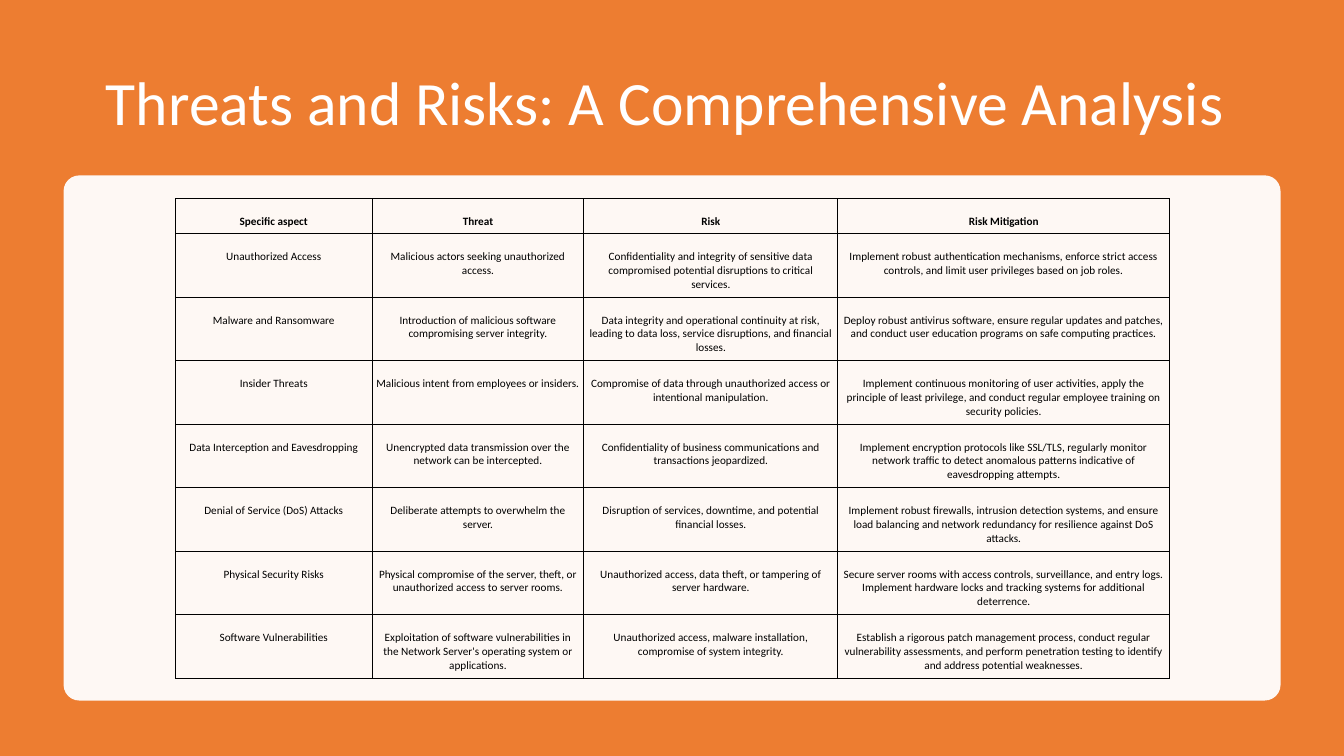
from pptx import Presentation
from pptx.dml.color import RGBColor
from pptx.enum.shapes import MSO_SHAPE
from pptx.enum.text import MSO_ANCHOR, PP_ALIGN
from pptx.oxml.ns import qn
from pptx.util import Inches, Pt
from lxml.etree import SubElement

FONT = "Calibri"
ORANGE, WHITE, BLACK = "ED7D31", "FFFFFF", "000000"
COLS = (195, 210, 252, 329)
ROWS = (35,) + (63,) * 7
RISKS = (
    ("Specific aspect", "Threat", "Risk", "Risk Mitigation"),
    ("Unauthorized Access",
     "Malicious actors seeking unauthorized access.",
     "Confidentiality and integrity of sensitive data compromised potential "
     "disruptions to critical services.",
     "Implement robust authentication mechanisms, enforce strict access controls, "
     "and limit user privileges based on job roles."),
    ("Malware and Ransomware",
     "Introduction of malicious software compromising server integrity.",
     "Data integrity and operational continuity at risk, leading to data loss, "
     "service disruptions, and financial losses.",
     "Deploy robust antivirus software, ensure regular updates and patches, and "
     "conduct user education programs on safe computing practices."),
    ("Insider Threats",
     "Malicious intent from employees or insiders.",
     "Compromise of data through unauthorized access or intentional manipulation.",
     "Implement continuous monitoring of user activities, apply the principle of "
     "least privilege, and conduct regular employee training on security policies."),
    ("Data Interception and Eavesdropping",
     "Unencrypted data transmission over the network can be intercepted.",
     "Confidentiality of business communications and transactions jeopardized.",
     "Implement encryption protocols like SSL/TLS, regularly monitor network traffic "
     "to detect anomalous patterns indicative of eavesdropping attempts."),
    ("Denial of Service (DoS) Attacks",
     "Deliberate attempts to overwhelm the server.",
     "Disruption of services, downtime, and potential financial losses.",
     "Implement robust firewalls, intrusion detection systems, and ensure load "
     "balancing and network redundancy for resilience against DoS attacks."),
    ("Physical Security Risks",
     "Physical compromise of the server, theft, or unauthorized access to server rooms.",
     "Unauthorized access, data theft, or tampering of server hardware.",
     "Secure server rooms with access controls, surveillance, and entry logs. "
     "Implement hardware locks and tracking systems for additional deterrence."),
    ("Software Vulnerabilities",
     "Exploitation of software vulnerabilities in the Network Server's operating "
     "system or applications.",
     "Unauthorized access, malware installation, compromise of system integrity.",
     "Establish a rigorous patch management process, conduct regular vulnerability "
     "assessments, and perform penetration testing to identify and address potential "
     "weaknesses."),
)


def paint(target, color):
    """Set a solid colour on a fill or the colour of a font."""
    if hasattr(target, "solid"):
        target.solid()
        target.fore_color.rgb = RGBColor.from_string(color)
    else:
        target.color.rgb = RGBColor.from_string(color)


def part(box, left, top, wide, high):
    """Return the part of a box given by percentages of its size."""
    x, y, w, h = box
    return (int(x + w * left / 100), int(y + h * top / 100),
            int(w * wide / 100), int(h * high / 100))


def write(para, text, size, color, bold=False):
    """Add one centred run to a paragraph."""
    para.alignment = PP_ALIGN.CENTER
    run = para.add_run()
    run.text = text
    run.font.name, run.font.size, run.font.bold = FONT, Pt(size), bold
    paint(run.font, color)


def block(slide, kind, box, color):
    """Draw a plain filled shape without line or shadow."""
    shape = slide.shapes.add_shape(kind, *box)
    shape.shadow.inherit = False
    shape.line.fill.background()
    paint(shape.fill, color)
    return shape


def head(slide, box):
    """Fill the title placeholder and bring it to the front."""
    title = slide.shapes.title
    title.left, title.top, title.width, title.height = box
    slide.shapes._spTree.append(title._element)
    frame = title.text_frame
    frame.word_wrap = True
    frame.vertical_anchor = MSO_ANCHOR.MIDDLE
    frame.margin_left, frame.margin_right = Inches(0.1), Inches(0.24)
    para = frame.paragraphs[0]
    para.line_spacing = 0.9
    write(para, "Threats and Risks: A Comprehensive Analysis", 44, WHITE)


def frame(cell):
    """Give a cell thin black borders and no fill."""
    props = cell._tc.get_or_add_tcPr()
    for side in ("lnL", "lnR", "lnT", "lnB"):
        line = SubElement(props, qn("a:" + side), w=str(Pt(0.75)))
        fill = SubElement(line, qn("a:solidFill"))
        SubElement(fill, qn("a:srgbClr"), val=BLACK)
    cell.fill.background()


def grid(slide, box):
    """Place the risk table in its box."""
    table = slide.shapes.add_table(len(ROWS), len(COLS), *box).table
    table.first_row = table.horz_banding = False
    for col, share in zip(table.columns, COLS):
        col.width = int(box[2] * share / sum(COLS))
    for row, share in zip(table.rows, ROWS):
        row.height = int(box[3] * share / sum(ROWS))
    for r, texts in enumerate(RISKS):
        for c, text in enumerate(texts):
            cell = table.cell(r, c)
            cell.margin_left = cell.margin_right = Inches(0.04)
            cell.margin_top, cell.margin_bottom = Inches(0.16), Inches(0.02)
            frame(cell)
            write(cell.text_frame.paragraphs[0], text, 8, BLACK, r == 0)


def panel(slide, box):
    """Draw the pale rounded panel with the table inside."""
    shape = block(slide, MSO_SHAPE.ROUNDED_RECTANGLE, box, WHITE)
    shape.adjustments[0] = 0.03
    color = shape._element.spPr.find(qn("a:solidFill"))[0]
    SubElement(color, qn("a:alpha"), val="95000")
    grid(slide, part(box, 9.2, 4.41, 81.69, 91.36))


def main():
    """Build and save the slide."""
    deck = Presentation()
    deck.slide_width, deck.slide_height = Inches(13.33), Inches(7.5)
    slide = deck.slides.add_slide(deck.slide_layouts[5])
    full = (0, 0, deck.slide_width, deck.slide_height)
    block(slide, MSO_SHAPE.RECTANGLE, full, ORANGE)
    head(slide, part(full, 6.9, 6.67, 86.27, 14.67))
    panel(slide, part(full, 4.73, 23.2, 90.55, 69.47))
    deck.save("out.pptx")


if __name__ == "__main__":
    main()
